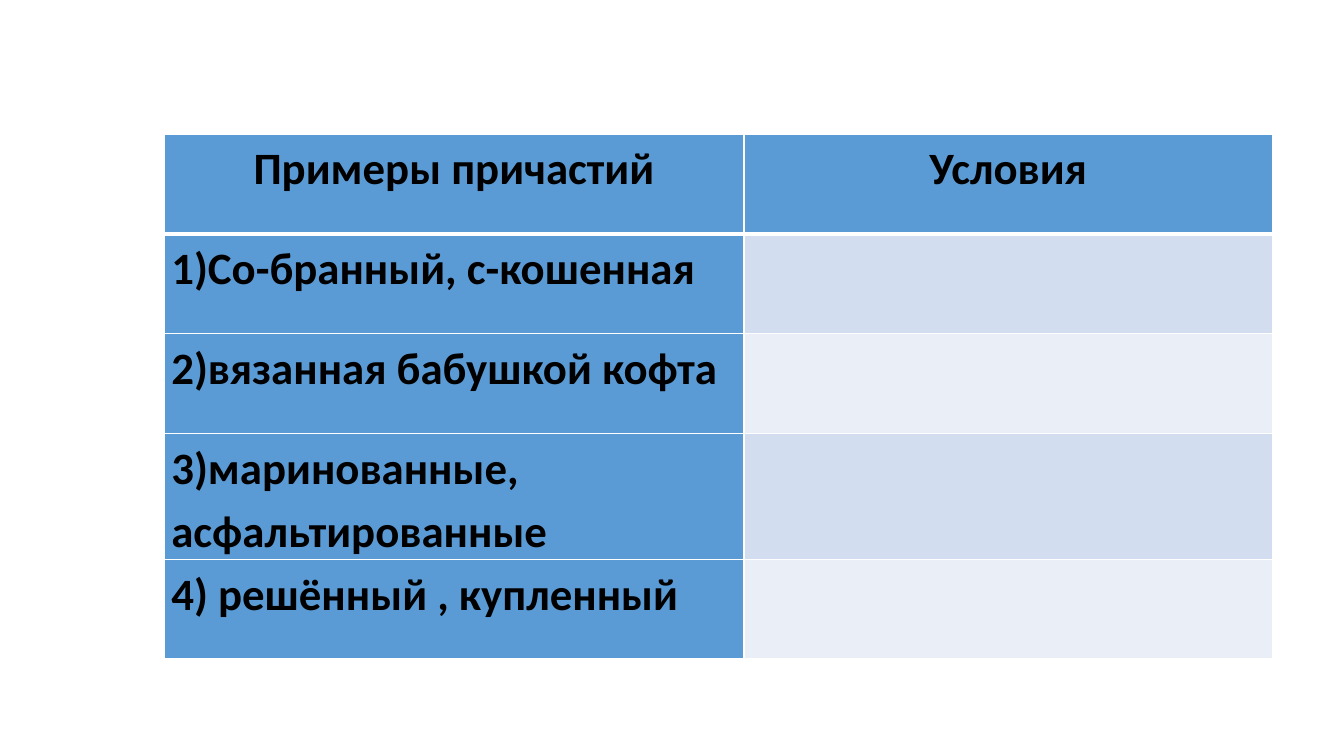
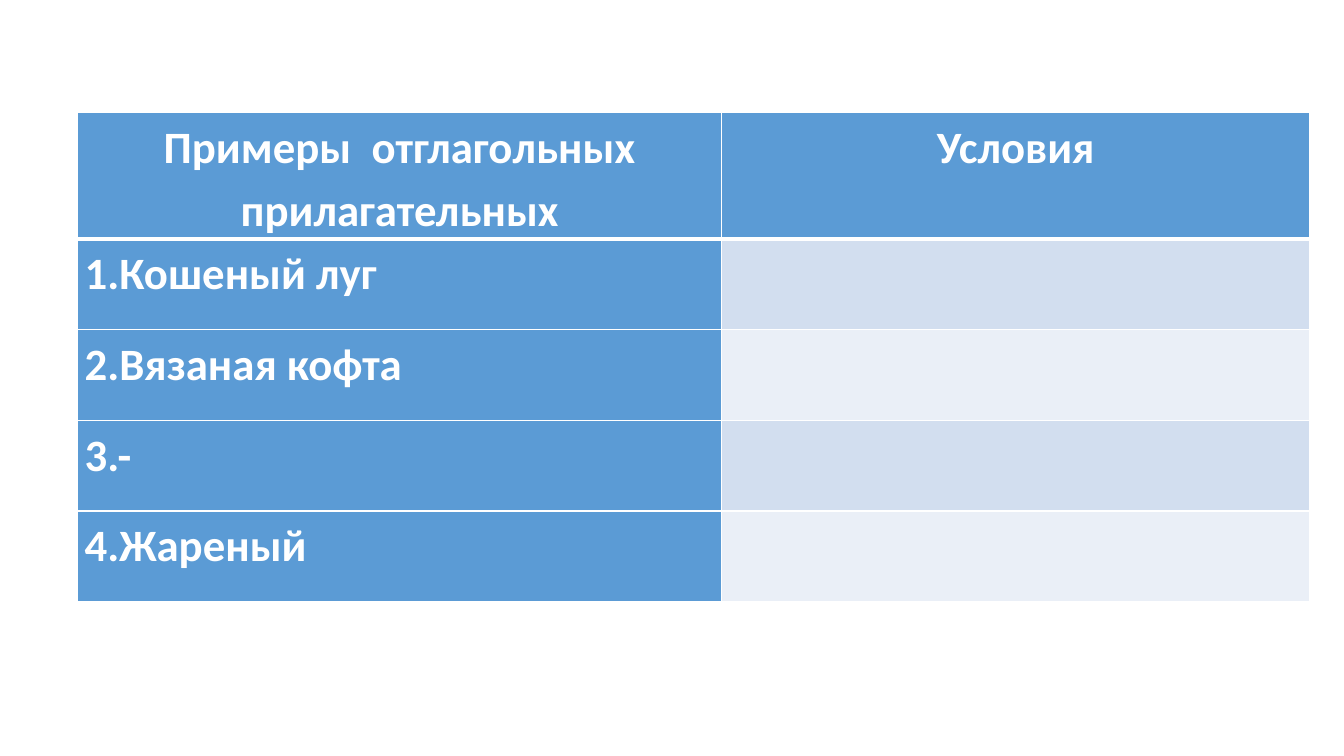
from lxml import etree
from pptx import Presentation
from pptx import util as u
from pptx.dml.color import RGBColor
from pptx.enum import text
from pptx.oxml import ns

BLUE, WHITE, BLACK = "5B9BD5", "FFFFFF", "000000"
BANDS = ("D2DEEF", "EAEFF7")
LEFT, MID, JUST = text.PP_ALIGN.LEFT, text.PP_ALIGN.CENTER, text.PP_ALIGN.JUSTIFY


def tint(fill, code):
    """Make a fill solid in the given hex colour."""
    fill.solid()
    fill.fore_color.rgb = RGBColor.from_string(code)


def write(frame, words, size=32, color=BLACK, bold=True, align=LEFT, font="Calibri"):
    """Write one formatted paragraph into a text frame."""
    para = frame.paragraphs[0]
    para.alignment = align
    para.line_spacing = 1.15
    run = para.add_run()
    run.text = words
    run.font.name = font
    run.font.size = u.Pt(size)
    run.font.bold = bold
    tint(run.font.fill, color)


def edge(cell, **widths):
    """Draw white cell borders; keys are side letters, values are points."""
    props = cell._tc.get_or_add_tcPr()
    for spot, side in enumerate("LRTB"):
        line = etree.Element(ns.qn(f"a:ln{side}"), w=str(u.Pt(widths.get(side, 1))))
        fill = etree.SubElement(line, ns.qn("a:solidFill"))
        etree.SubElement(fill, ns.qn("a:srgbClr"), val=WHITE)
        props.insert(spot, line)


class Deck:
    """Hold the presentation, its table style and the current slide."""

    def __init__(self):
        """Start a wide presentation."""
        self.prs = Presentation()
        self.prs.slide_width = u.Inches(13.33)
        self.prs.slide_height = u.Inches(7.5)
        self.slide = None

    def page(self):
        """Add a blank slide and make it current."""
        self.slide = self.prs.slides.add_slide(self.prs.slide_layouts[6])

    def cell(self, cell, row, col, words, color, align):
        """Style one table cell and write its words."""
        head = row == 0
        tint(cell.fill, BLUE if head or col == 0 else BANDS[(row - 1) % 2])
        edge(cell, T=3 if row == 1 else 1, B=3 if head else 1)
        if words:
            cell.margin_left = cell.margin_right = u.Inches(0.07)
            cell.margin_top = cell.margin_bottom = 0
            write(cell.text_frame, words, color=color, align=MID if head else align)

    def table(self, left, top, widths, high, heads, items, color, just=()):
        """Add a table of examples with an empty column for conditions."""
        rows = [heads] + [(item, "") for item in items]
        grid = self.slide.shapes.add_table(
            len(rows), len(widths), u.Inches(left), u.Inches(top),
            u.Inches(sum(widths)), u.Inches(high * len(rows))).table
        grid.first_row = grid.horz_banding = False
        for col, wide in enumerate(widths):
            grid.columns[col].width = u.Inches(wide)
        for row, line in enumerate(rows):
            grid.rows[row].height = u.Inches(high)
            for col, words in enumerate(line):
                align = JUST if row in just else LEFT
                self.cell(grid.cell(row, col), row, col, words, color, align)


def main():
    """Build both slides and save them."""
    deck = Deck()
    deck.page()
    deck.table(1.63, 1.33, (5.75, 5.24), 0.99, ("Примеры причастий", "Условия"), (
        "1)Со-бранный, с-кошенная",
        "2)вязанная бабушкой кофта",
        "3)маринованные, асфальтированные",
        "4) решённый , купленный",
    ), BLACK, just=(1,))
    deck.page()
    deck.table(0.77, 1.12, (6.39, 5.83), 0.9, ("Примеры  отглагольных прилагательных", "Условия"), (
        "1.Кошеный луг",
        "2.Вязаная кофта",
        "3.-",
        "4.Жареный",
    ), WHITE)
    deck.prs.save("out.pptx")


if __name__ == "__main__":
    main()
